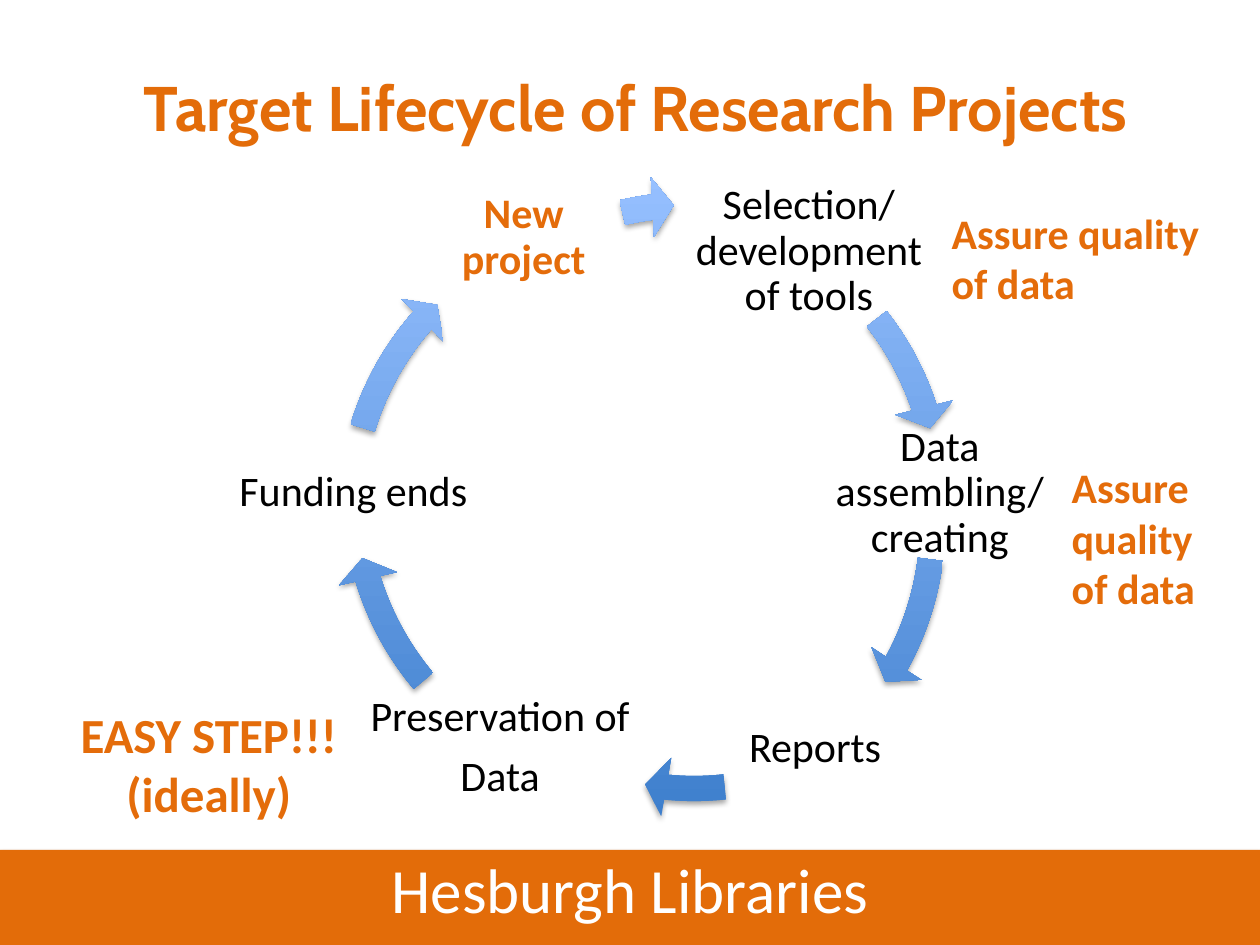
from math import cos, radians, sin, tan

from lxml import etree
from pptx import Presentation
from pptx.dml.color import RGBColor
from pptx.enum.shapes import MSO_SHAPE
from pptx.enum.text import MSO_ANCHOR, PP_ALIGN
from pptx.oxml.ns import qn
from pptx.util import Pt

RECT = MSO_SHAPE.RECTANGLE
TOP, MIDDLE = MSO_ANCHOR.TOP, MSO_ANCHOR.MIDDLE
LEFT, CENTER = PP_ALIGN.LEFT, PP_ALIGN.CENTER

TITLE_ORANGE, NOTE_ORANGE = "E36C09", "E46C0A"
BLACK, WHITE = "000000", "FFFFFF"
LIGHT_BLUE, DARK_BLUE = "96C0FF", "3E7FCD"

# Arrow ring, in points: box side, middle radius, half widths of band and head
RING, RADIUS, HALF_BAND, HALF_HEAD = 367.2, 166.4, 7.2, 17
HEAD_ANGLE, JOINT_ANGLE = 4.2, 0.18

STEPS = [  # box, lines, format
    ((385.2, 106.3, 154.1, 74.9), ["Selection/", "development of tools"], {}),
    ((469, 244.4, 136.1, 74.9), ["Data assembling/", "creating"], {}),
    ((414.3, 390.5, 103, 74.9), ["Reports"], {}),
    ((203, 389.8, 165.6, 74.9), ["Preservation of", "Data"], {"gap": 8.4}),
    ((133.2, 244.1, 137.5, 74.9), ["Funding ends"], {}),
    ((243.1, 98.6, 112.3, 74.9), ["New project"],
     {"color": NOTE_ORANGE, "bold": True}),
]
ARROWS = [  # ring left and top, start angle, tip angle (clockwise from east)
    (186.5, 101.3, -38.1, -14),
    (183, 115.2, 7.2, 33.1),
    (213.1, 100.6, 84, 99.7),
    (185.8, 98.5, 140, 167.2),
    (182.9, 109.3, 196.9, 225.5),
    (210.1, 99.9, 256.8, 267),
]
NOTES = [  # box, lines, format
    ((37.6, 398.9, 163.4, 74.9), ["EASY STEP!!!", "(ideally)"],
     {"size": 28, "align": CENTER}),
    ((536.7, 114.8, 157.7, 65.5), ["Assure quality", "of data"], {}),
    ((605.3, 260.3, 114.5, 94.3), ["Assure quality", "of data"], {}),
]


def rgb(color):
    return RGBColor.from_string(color)


def place(sp, box):
    for name, value in zip(("left", "top", "width", "height"), box):
        setattr(sp, name, Pt(value))


def write(sp, lines, size=24, color=BLACK, bold=False, font="Calibri",
          align=CENTER, anchor=MIDDLE, spacing=1.0, gap=0, inset=(7.2, 3.6)):
    tf = sp.text_frame
    tf.word_wrap = True
    tf.vertical_anchor = anchor
    tf.margin_left = tf.margin_right = Pt(inset[0])
    tf.margin_top = tf.margin_bottom = Pt(inset[1])
    for i, line in enumerate(lines):
        p = tf.paragraphs[0] if i == 0 else tf.add_paragraph()
        p.alignment, p.line_spacing = align, spacing
        p.space_before = Pt(gap if i else 0)
        r = p.add_run()
        r.text = line
        values = {"name": font, "size": Pt(size), "bold": bold}
        for name, value in values.items():
            setattr(r.font, name, value)
        r.font.color.rgb = rgb(color)


def add_shadow(sp):
    sp.shadow.inherit = False
    effects = sp._element.spPr.find(qn("a:effectLst"))
    shadow = etree.SubElement(effects, qn("a:outerShdw"), blurRad="40000",
                              dist="23000", dir="5400000", rotWithShape="0")
    color = etree.SubElement(shadow, qn("a:srgbClr"), val=BLACK)
    etree.SubElement(color, qn("a:alpha"), val="35000")


def add_title(s, box):
    sp = s.shapes.title
    place(sp, box)
    write(sp, ["Target Lifecycle of Research Projects"], size=36,
          color=TITLE_ORANGE, bold=True, font="Cabin")


def add_banner(s, box):
    sp = s.shapes.add_shape(RECT, *map(Pt, box))
    sp.fill.solid()
    sp.fill.fore_color.rgb = rgb(TITLE_ORANGE)
    sp.line.fill.background()
    add_shadow(sp)
    write(sp, ["Hesburgh Libraries"], size=36, color=WHITE, spacing=0.7)


def add_text(s, box, lines, **fmt):
    sp = s.shapes.add_textbox(*map(Pt, box))
    write(sp, lines, **fmt)


def polar(radius, angle):
    """Point in the ring's box, at an angle clockwise from east."""
    a = radians(angle)
    return RING / 2 + radius * cos(a), RING / 2 + radius * sin(a)


def arc(radius, start, end):
    """Two control points and the end point of a circular arc."""
    reach = 4 / 3 * tan(radians(end - start) / 4) * radius
    (x0, y0), (x1, y1) = polar(radius, start), polar(radius, end)
    a, b = radians(start), radians(end)
    return [(x0 - reach * sin(a), y0 + reach * cos(a)),
            (x1 + reach * sin(b), y1 - reach * cos(b)), (x1, y1)]


def arrow_outline(start, tip):
    base = tip - HEAD_ANGLE
    bx, by = polar(RADIUS, base)
    dx, dy = HALF_HEAD * cos(radians(tip)), HALF_HEAD * sin(radians(tip))
    outer, inner = RADIUS + HALF_BAND, RADIUS - HALF_BAND
    return [
        ("moveTo", [polar(outer, start)]),
        ("cubicBezTo", arc(outer, start, base + JOINT_ANGLE)),
        ("lnTo", [(bx + dx, by + dy)]),
        ("lnTo", [polar(RADIUS, tip)]),
        ("lnTo", [(bx - dx, by - dy)]),
        ("lnTo", [polar(inner, base - JOINT_ANGLE)]),
        ("cubicBezTo", arc(inner, base - JOINT_ANGLE, start)),
        ("close", []),
    ]


def add_arrow(s, left, top, start, tip):
    """Draw one curved arrow inside the square box of the whole ring."""
    x, y, side = Pt(left), Pt(top), Pt(RING)
    builder = s.shapes.build_freeform(x, y)
    builder.add_line_segments([(x + side, y), (x + side, y + side),
                               (x, y + side)], close=True)
    sp = builder.convert_to_shape()
    outline = next(sp._element.iter(qn("a:path")))
    for step in list(outline):
        outline.remove(step)
    for command, points in arrow_outline(start, tip):
        step = etree.SubElement(outline, qn(f"a:{command}"))
        for px, py in points:
            etree.SubElement(step, qn("a:pt"), x=str(Pt(px)), y=str(Pt(py)))
    sp.fill.gradient()
    sp.fill.gradient_angle = 90
    for stop, color, position in zip(sp.fill.gradient_stops,
                                     (DARK_BLUE, LIGHT_BLUE), (0, 1)):
        stop.color.rgb = rgb(color)
        stop.position = position
    sp.line.fill.background()
    add_shadow(sp)


def add_cycle(s):
    for (box, lines, fmt), arrow in zip(STEPS, ARROWS):
        add_text(s, box, lines, spacing=0.9, inset=(2.4, 2.4), **fmt)
        add_arrow(s, *arrow)


def add_notes(s):
    for box, lines, fmt in NOTES:
        values = {"align": LEFT, "anchor": TOP, "color": NOTE_ORANGE,
                  "bold": True, **fmt}
        add_text(s, box, lines, **values)


def main():
    prs = Presentation()
    prs.slide_width, prs.slide_height = Pt(720), Pt(540)
    s = prs.slides.add_slide(prs.slide_layouts[5])
    add_title(s, (12.2, 15.8, 702, 90))
    add_banner(s, (0, 485.6, 720, 54.4))
    add_cycle(s)
    add_notes(s)
    prs.save("out.pptx")


if __name__ == "__main__":
    main()
